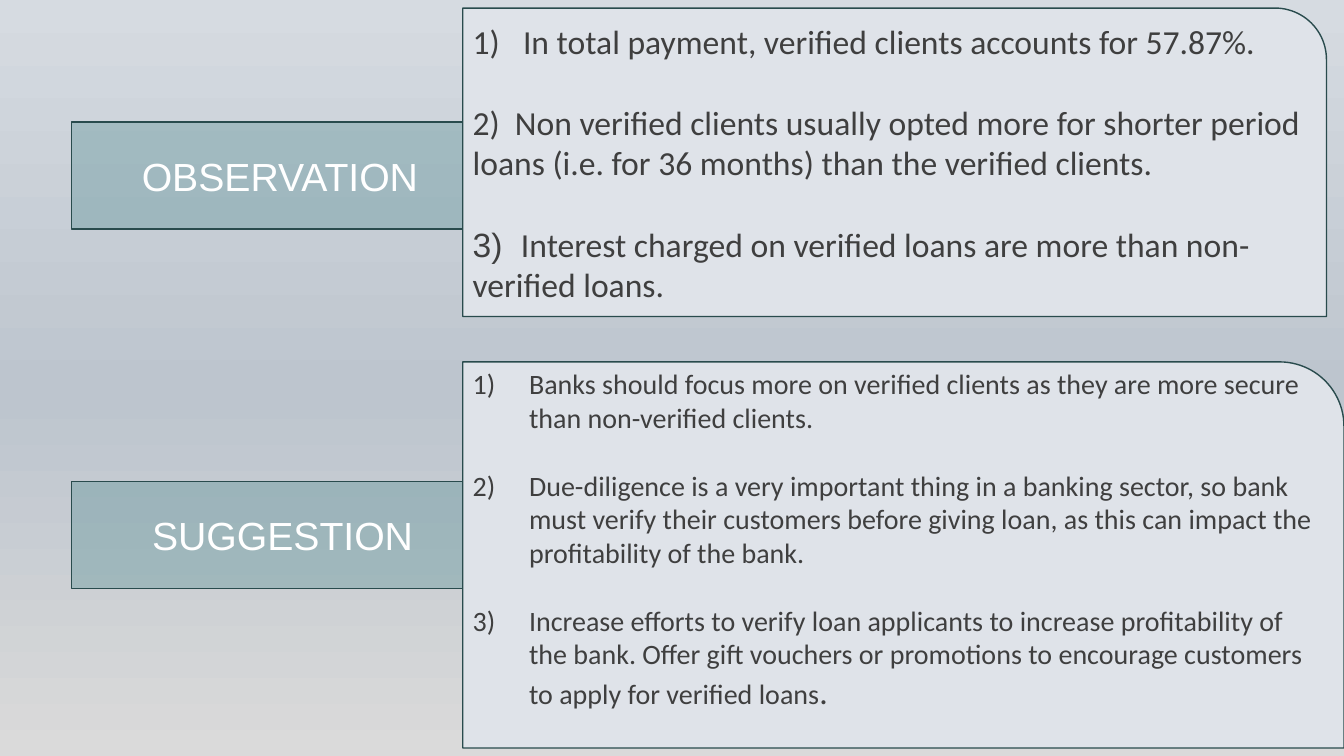
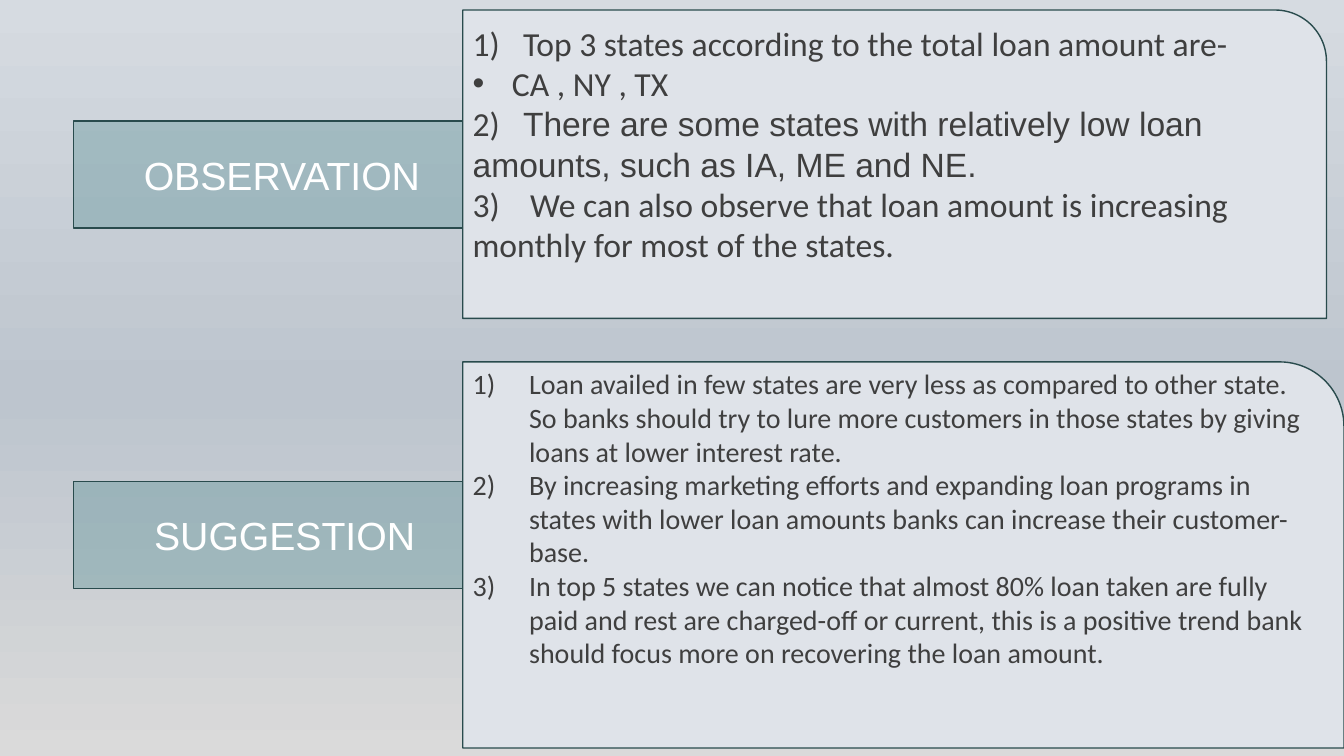
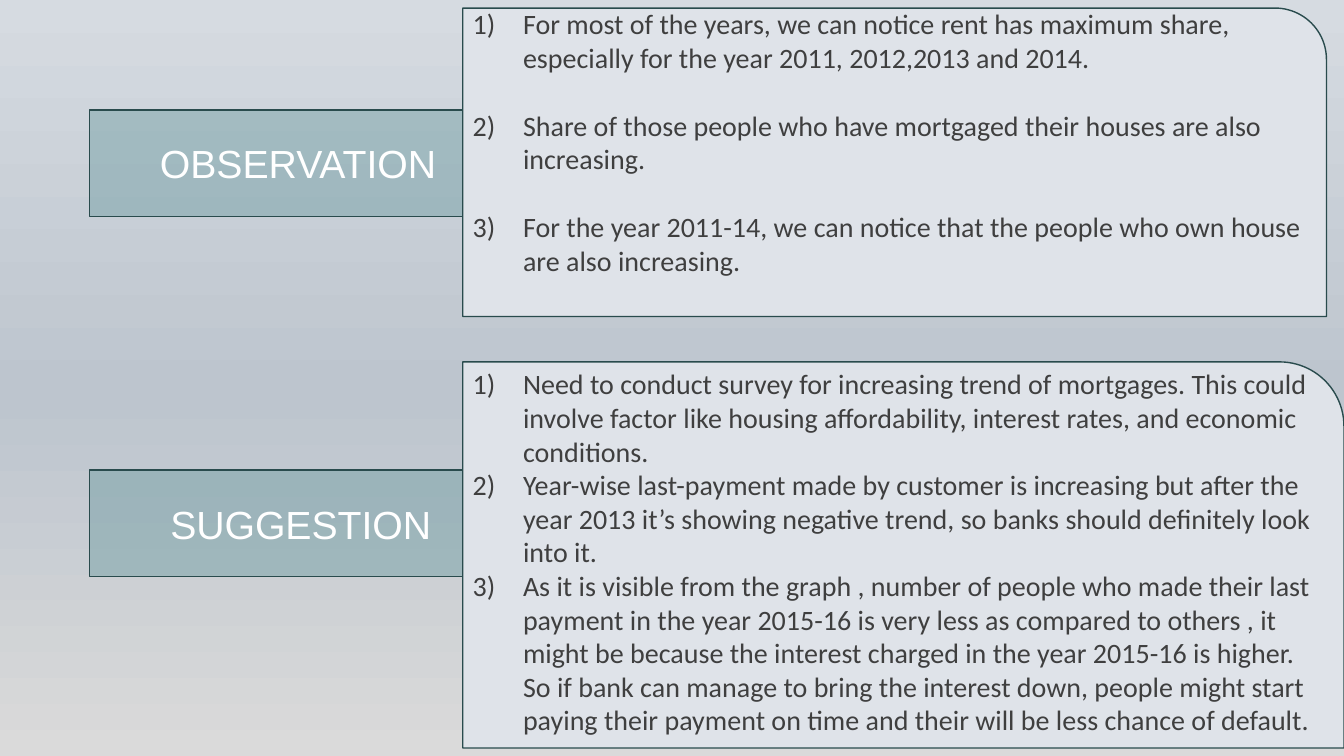
from dataclasses import dataclass

from lxml import etree
from pptx import Presentation
from pptx.dml.color import RGBColor
from pptx.enum.shapes import MSO_SHAPE
from pptx.enum.text import MSO_ANCHOR, PP_ALIGN
from pptx.oxml.ns import qn
from pptx.util import Inches, Pt

RECTANGLE = MSO_SHAPE.RECTANGLE
ONE_ROUND_CORNER = MSO_SHAPE.ROUND_1_RECTANGLE
TOP, MIDDLE = MSO_ANCHOR.TOP, MSO_ANCHOR.MIDDLE
LEFT, CENTER = PP_ALIGN.LEFT, PP_ALIGN.CENTER

TEAL = RGBColor(0x42, 0x83, 0x88)
DARK_TEAL = RGBColor(0x29, 0x4B, 0x4D)
PANEL_FILL = RGBColor(0xDF, 0xE3, 0xE9)
TEXT_GREY = RGBColor(0x3F, 0x3F, 0x3F)
WHITE = RGBColor(0xFF, 0xFF, 0xFF)
BACKGROUND_STOPS = [(0, "DADADA"), (48, "BDC5CE"), (100, "D6DBE1")]

HEADING_FONT = "Arial"
BODY_FONT = "Calibri"
SLIDE_WIDTH, SLIDE_HEIGHT = Inches(13.333), Inches(7.5)
PANEL_LEFT = 0.3443 * SLIDE_WIDTH
LABEL_HEIGHT = 0.1413 * SLIDE_HEIGHT
LINE_RATIO = 1.22


@dataclass
class Box:
    left: float
    top: float
    width: float
    height: float


@dataclass
class Label:
    text: str
    left: float
    top: float
    width: float


@dataclass
class Item:
    runs: list
    number: str = ""
    bullet: str = ""
    indent: float = 0.5
    gap_lines: int = 0


@dataclass
class Body:
    items: list
    size: int
    anchor: int = TOP
    free_lines: int = 0


def band(top, height, width=1.0):
    return Box(0, top * SLIDE_HEIGHT, width * SLIDE_WIDTH, height * SLIDE_HEIGHT)


def observation(left, top):
    return Label("OBSERVATION", left, top, 0.31)


def suggestion(left, top):
    return Label("SUGGESTION", left, top, 0.314)


def numbered(texts, indent, gap_lines=0):
    return [
        Item([(text, {})], bullet="auto", indent=indent, gap_lines=gap_lines if position else 0)
        for position, text in enumerate(texts)
    ]


def paint_background(master):
    fill = master.background.fill
    fill.gradient()
    fill.gradient_angle = 90
    stops = master.element.find(".//" + qn("a:gsLst"))
    for stop in list(stops):
        stops.remove(stop)
    for percent, colour in BACKGROUND_STOPS:
        stop = etree.SubElement(stops, qn("a:gs"), pos=str(percent * 1000))
        etree.SubElement(stop, qn("a:srgbClr"), val=colour)


def add_panel(slide, kind, box, colour, opacity=100):
    shape = slide.shapes.add_shape(
        kind, int(box.left), int(box.top), int(box.width), int(box.height)
    )
    shape.shadow.inherit = False
    shape.fill.solid()
    shape.fill.fore_color.rgb = colour
    if opacity < 100:
        value = shape.element.spPr.find(qn("a:solidFill"))[0]
        etree.SubElement(value, qn("a:alpha"), val=str(opacity * 1000))
    shape.line.color.rgb = DARK_TEAL
    shape.line.width = Pt(1)
    shape.text_frame.word_wrap = True
    return shape


def add_run(paragraph, text, size, colour, font=BODY_FONT):
    run = paragraph.add_run()
    run.text = text
    run.font.size = Pt(size)
    run.font.name = font
    run.font.color.rgb = colour


def set_list_style(paragraph, item):
    properties = paragraph._p.get_or_add_pPr()
    indent = Inches(item.indent)
    if item.bullet:
        properties.set("marL", str(indent))
        properties.set("indent", str(-indent))
    if item.bullet == "auto":
        etree.SubElement(properties, qn("a:buFont"), typeface="+mj-lt")
        etree.SubElement(properties, qn("a:buAutoNum"), type="arabicParenR")
    elif item.bullet:
        etree.SubElement(properties, qn("a:buFont"), typeface=HEADING_FONT)
        etree.SubElement(properties, qn("a:buChar"), char=item.bullet)
    else:
        tabs = etree.SubElement(properties, qn("a:tabLst"))
        etree.SubElement(tabs, qn("a:tab"), pos=str(indent), algn="l")


def add_label(slide, box, label):
    label_box = Box(
        box.left + label.left * SLIDE_WIDTH,
        box.top + label.top * box.height,
        label.width * SLIDE_WIDTH,
        LABEL_HEIGHT,
    )
    shape = add_panel(slide, RECTANGLE, label_box, TEAL, 31)
    shape.text_frame.vertical_anchor = MIDDLE
    paragraph = shape.text_frame.paragraphs[0]
    paragraph.alignment = CENTER
    add_run(paragraph, label.text, 28, WHITE, HEADING_FONT)


def add_body(slide, box, body):
    panel_box = Box(box.left + PANEL_LEFT, box.top, box.width - PANEL_LEFT, box.height)
    frame = add_panel(slide, ONE_ROUND_CORNER, panel_box, PANEL_FILL).text_frame
    frame.vertical_anchor = body.anchor
    frame.margin_bottom = Inches(0.05) + Pt(24 * LINE_RATIO * body.free_lines)
    for position, item in enumerate(body.items):
        paragraph = frame.add_paragraph() if position else frame.paragraphs[0]
        paragraph.alignment = LEFT
        paragraph.space_before = Pt(round(body.size * LINE_RATIO * item.gap_lines, 1))
        set_list_style(paragraph, item)
        if item.number:
            add_run(paragraph, item.number + "\t", body.size, TEXT_GREY)
        for text, style in item.runs:
            add_run(paragraph, text, **{"size": body.size, "colour": TEXT_GREY, **style})


def add_region(slide, box, label, body):
    add_label(slide, box, label)
    add_body(slide, box, body)


UPPER = band(0.0107, 0.408, 0.987)
UPPER_LOWERED = band(0.0133, 0.408, 0.987)
LOWER = band(0.4787, 0.5107)

VERIFICATION = [
    (
        UPPER,
        observation(0.0533, 0.37),
        Body(
            [
                Item([("In total payment, verified clients accounts for 57.87%.", {})], "1)"),
                Item(
                    [("Non verified clients usually opted more for shorter period loans (i.e. for 36 months) than the verified clients.", {})],
                    "2)",
                    indent=0.42,
                    gap_lines=1,
                ),
                Item(
                    [
                        ("3)\t", {"font": HEADING_FONT}),
                        ("Interest charged on verified loans are more than non-verified loans.", {}),
                    ],
                    indent=0.48,
                    gap_lines=1,
                ),
            ],
            24,
            MIDDLE,
        ),
    ),
    (
        LOWER,
        suggestion(0.0533, 0.31),
        Body(
            numbered(
                [
                    "Banks should focus more on verified clients as they are more secure than non-verified clients.",
                    "Due-diligence is a very important thing in a banking sector, so bank must verify their customers before giving loan, as this can impact the profitability of the bank.",
                ],
                0.56,
                1,
            )
            + [
                Item(
                    [
                        ("Increase efforts to verify loan applicants to increase profitability of the bank. Offer gift vouchers or promotions to encourage customers to apply for verified loans", {}),
                        (".", {"size": 24}),
                    ],
                    bullet="auto",
                    indent=0.56,
                    gap_lines=1,
                )
            ],
            20,
        ),
    ),
]

STATES = [
    (
        UPPER_LOWERED,
        observation(0.0548, 0.36),
        Body(
            [
                Item([("Top 3 states according to the total loan amount are-", {})], "1)"),
                Item([("CA , NY , TX", {})], bullet="•", indent=0.39),
                Item(
                    [("There are some states with relatively low loan amounts, such as IA, ME and NE.", {"font": HEADING_FONT})],
                    "2)",
                ),
                Item(
                    [("We can also observe that loan amount is increasing monthly for most of the states.", {})],
                    "3)",
                    indent=0.57,
                ),
            ],
            24,
            MIDDLE,
            1,
        ),
    ),
    (
        LOWER,
        suggestion(0.0548, 0.31),
        Body(
            numbered(
                [
                    "Loan availed in few states are very less as compared to other state. So banks should try to lure more customers in those states by giving loans at lower interest rate.",
                    "By increasing marketing efforts and expanding loan programs in states with lower loan amounts banks can increase their customer-base.",
                    "In top 5 states we can notice that almost 80% loan taken are fully paid and rest are charged-off or current, this is a positive trend bank should focus more on recovering the loan amount.",
                ],
                0.56,
            ),
            20,
        ),
    ),
]

HOME_OWNERSHIP = [
    (
        UPPER,
        observation(0.0668, 0.33),
        Body(
            numbered(
                [
                    "For most of the years, we can notice rent has maximum share, especially for the year 2011, 2012,2013 and 2014.",
                    "Share of those people who have mortgaged their houses are also increasing.",
                    "For the year 2011-14, we can notice that the people who own house are also increasing.",
                ],
                0.5,
                1,
            ),
            20,
            MIDDLE,
            1,
        ),
    ),
    (
        LOWER,
        suggestion(0.0668, 0.28),
        Body(
            numbered(
                [
                    "Need to conduct survey for increasing trend of mortgages. This could involve factor like housing affordability, interest rates, and economic conditions.",
                    "Year-wise last-payment made by customer is increasing but after the year 2013 it’s showing negative trend, so banks should definitely look into it.",
                    "As it is visible from the graph , number of people who made their last payment in the year 2015-16 is very less as compared to others , it might be because the interest charged in the year 2015-16 is higher. So if bank can manage to bring the interest down, people might start paying their payment on time and their will be less chance of default.",
                ],
                0.5,
            ),
            20,
        ),
    ),
]


def main():
    presentation = Presentation()
    presentation.slide_width = SLIDE_WIDTH
    presentation.slide_height = SLIDE_HEIGHT
    paint_background(presentation.slide_master)
    blank_layout = presentation.slide_layouts[6]
    for regions in (VERIFICATION, STATES, HOME_OWNERSHIP):
        slide = presentation.slides.add_slide(blank_layout)
        for box, label, body in regions:
            add_region(slide, box, label, body)
    presentation.save("out.pptx")


if __name__ == "__main__":
    main()
